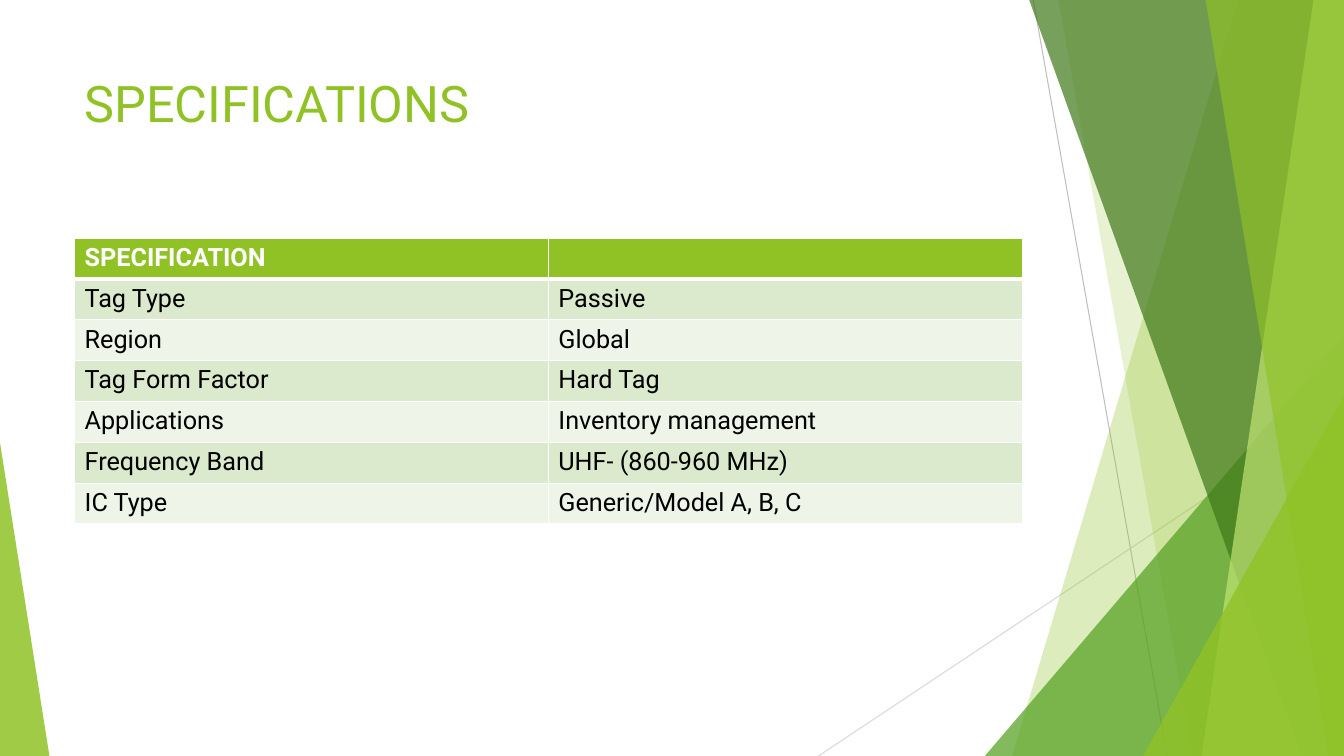
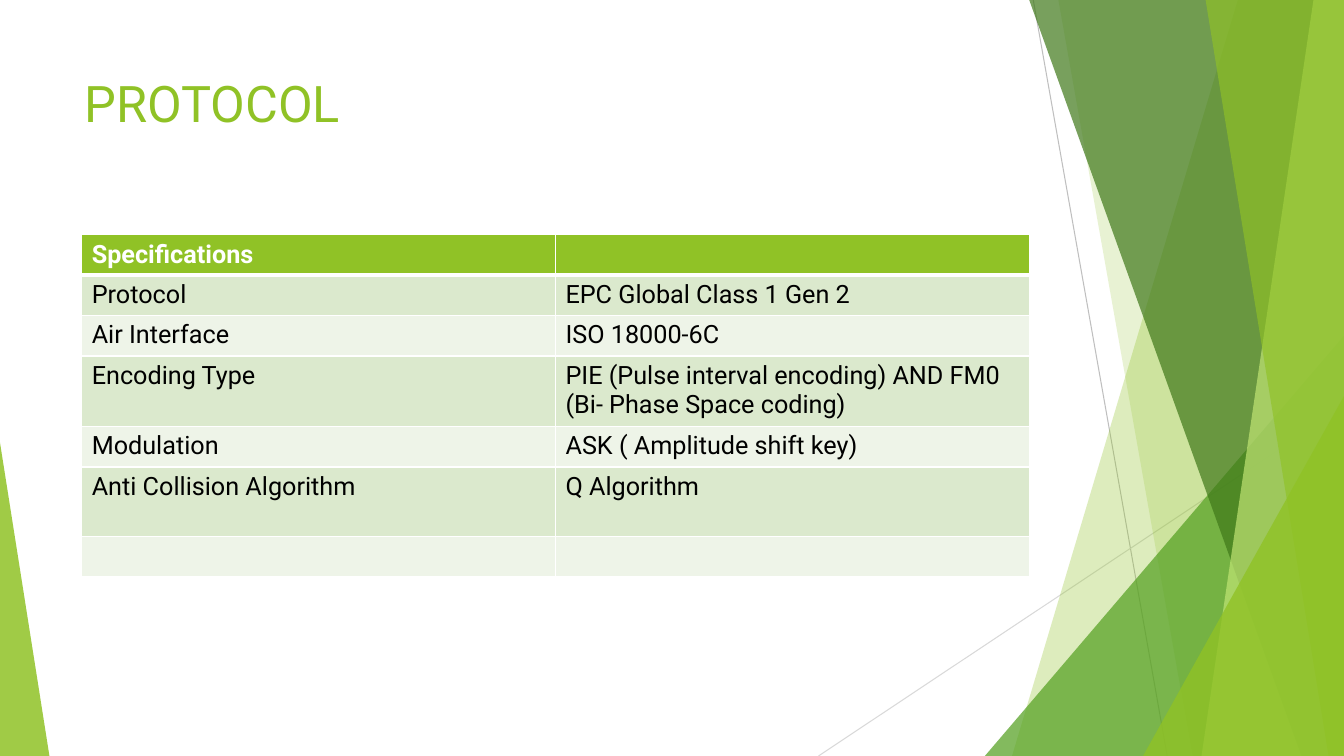
"""Builds two slides of tag tables beside a fan of green facets."""
from lxml import etree
from pptx import Presentation, util as u
from pptx.dml.color import RGBColor
from pptx.enum import shapes, text
from pptx.oxml.ns import qn

WIDE, HIGH = u.Inches(13.33), u.Inches(7.5)
FONT = "Roboto"
HUES = {
    "lime": "90C226", "leaf": "54A021", "moss": "3F7819", "pale": "C0E474",
    "tint": "DBE9CD", "mist": "EEF4E8", "white": "FFFFFF", "black": "000000",
    "gray": "BFBFBF", "silver": "D9D9D9",
}
LINES = [((76.88, 0), (86.85, 100), "gray"), ((100, 53.73), (60.9, 100), "silver")]
BACK = [(92.1, 75.3, "lime", 30), (78.75, 88.73, "lime", 20)]
FRONT = [(76.58, 96.83, "moss", 70), (97.73, 89.4, "pale", 70), (89.7, 98.85, "lime", 65)]

TAG = [
    ("SPECIFICATION", ""),
    ("Tag Type", "Passive"),
    ("Region", "Global"),
    ("Tag Form Factor", "Hard Tag"),
    ("Applications", "Inventory management"),
    ("Frequency Band", "UHF- (860-960 MHz)"),
    ("IC Type", "Generic/Model A, B, C"),
]
AIR = [
    ("Specifications", ""),
    ("Protocol", "EPC Global Class 1 Gen 2"),
    ("Air Interface", "ISO 18000-6C"),
    ("Encoding Type", "PIE (Pulse interval encoding) AND FM0\n(Bi- Phase Space coding)"),
    ("Modulation", "ASK ( Amplitude shift key)"),
    ("Anti Collision Algorithm", "Q Algorithm"),
    ("", ""),
]


def col(part):
    """Turn a percentage of the slide's width into a length."""
    return u.Emu(round(WIDE * part / 100))


def row(part):
    """Turn a percentage of the slide's height into a length."""
    return u.Emu(round(HIGH * part / 100))


def hue(name):
    """Look up a named colour."""
    return RGBColor.from_string(HUES[name])


def paint(shape, name, alpha):
    """Fill a shape with a see-through colour, without line or shadow."""
    shape.shadow.inherit = False
    shape.line.fill.background()
    shape.fill.solid()
    shape.fill.fore_color.rgb = hue(name)
    tone = shape.fill._xPr.find(".//" + qn("a:srgbClr"))
    etree.SubElement(tone, qn("a:alpha"), val=str(alpha * 1000))


def facet(slide, top, base, name, alpha):
    """Draw a full-height facet from a slanted left side to the right edge."""
    form = slide.shapes.build_freeform(col(top), 0)
    form.add_line_segments([(WIDE, 0), (WIDE, HIGH), (col(base), HIGH)], close=True)
    paint(form.convert_to_shape(), name, alpha)


def wedge(slide, left, top, width, tip, name, alpha):
    """Draw a right triangle that stands on the bottom edge."""
    shape = slide.shapes.add_shape(
        shapes.MSO_SHAPE.ISOSCELES_TRIANGLE, col(left), row(top), col(width), row(100 - top))
    shape.adjustments[0] = tip
    paint(shape, name, alpha)


def rule(slide, start, end, name):
    """Draw a thin straight line."""
    line = slide.shapes.add_connector(
        shapes.MSO_CONNECTOR.STRAIGHT, col(start[0]), row(start[1]), col(end[0]), row(end[1]))
    line.line.color.rgb = hue(name)
    line.line.width = u.Pt(0.75)
    etree.SubElement(line._element.spPr, qn("a:effectLst"))


def decor(slide):
    """Draw the lines and facets that all slides share."""
    for line in LINES:
        rule(slide, *line)
    for item in BACK:
        facet(slide, *item)
    wedge(slide, 73.28, 44.4, 26.72, 1, "leaf", 72)
    for item in FRONT:
        facet(slide, *item)
    wedge(slide, 85.05, 52.4, 14.95, 1, "lime", 80)
    wedge(slide, 0, 58.53, 3.68, 0, "lime", 85)


def write(frame, words, size, name, bold=False):
    """Write each line of the words as a paragraph with one run."""
    for num, part in enumerate(words.split("\n")):
        para = frame.add_paragraph() if num else frame.paragraphs[0]
        run = para.add_run()
        run.text = part
        run.font.name, run.font.size = FONT, u.Pt(size)
        run.font.bold = bold
        run.font.color.rgb = hue(name)


def title(slide, words):
    """Add the slide's title."""
    box = slide.shapes.add_textbox(col(5.55), row(8.93), col(70.5), row(19.2))
    frame = box.text_frame
    frame.word_wrap = True
    frame.vertical_anchor = text.MSO_ANCHOR.TOP
    write(frame, words, 36, "lime")


def edge(cell, **sides):
    """Give a cell white borders of the given widths in points."""
    props = cell._tc.get_or_add_tcPr()
    for side in "LRTB":
        line = etree.SubElement(props, qn("a:ln" + side), w=str(u.Pt(sides.get(side, 1))))
        fill = etree.SubElement(line, qn("a:solidFill"))
        etree.SubElement(fill, qn("a:srgbClr"), val=HUES["white"])


def grid(slide, data, left, top, sizes):
    """Add a banded table with a lime header row."""
    frame = slide.shapes.add_table(
        len(data), 2, col(left), row(top), col(70.5), row(sum(sizes)))
    table = frame.table
    for num, (pair, size) in enumerate(zip(data, sizes)):
        table.rows[num].height = row(size)
        head = num == 0
        back = "lime" if head else ("mist", "tint")[num % 2]
        for side, words in enumerate(pair):
            cell = table.cell(num, side)
            edge(cell, T=3 if num == 1 else 1, B=3 if head else 1)
            cell.fill.solid()
            cell.fill.fore_color.rgb = hue(back)
            write(cell.text_frame, words, 18, "white" if head else "black", head)


def page(deck, words, *table):
    """Add a slide with the shared decor, a title and a table."""
    slide = deck.slides.add_slide(deck.slide_layouts[6])
    decor(slide)
    title(slide, words)
    grid(slide, *table)


def main():
    """Build and save the deck."""
    deck = Presentation()
    deck.slide_width, deck.slide_height = WIDE, HIGH
    page(deck, "SPECIFICATIONS", TAG, 5.55, 31.47, [5.41] * 7)
    page(deck, "PROTOCOL", AIR, 6.08, 31.07, [9.15 if num in (3, 5) else 5.25 for num in range(7)])
    deck.save("out.pptx")


if __name__ == "__main__":
    main()
